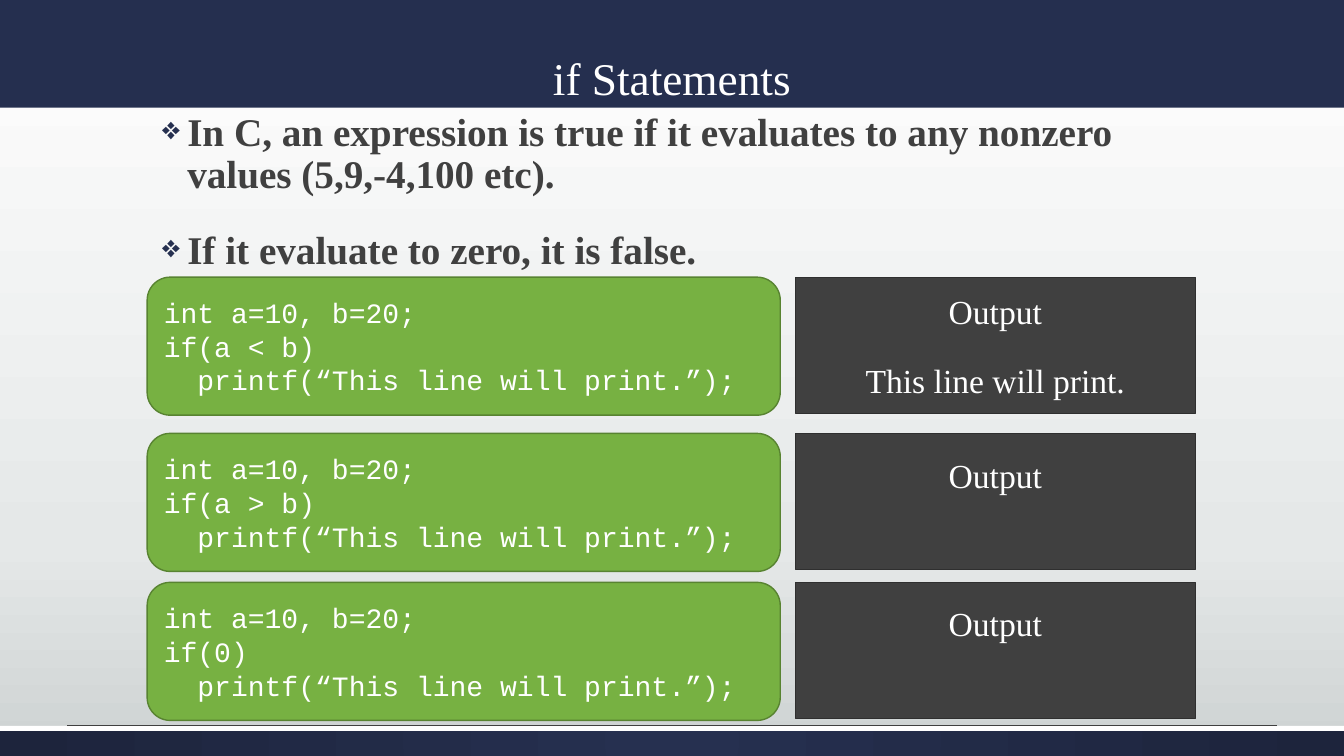
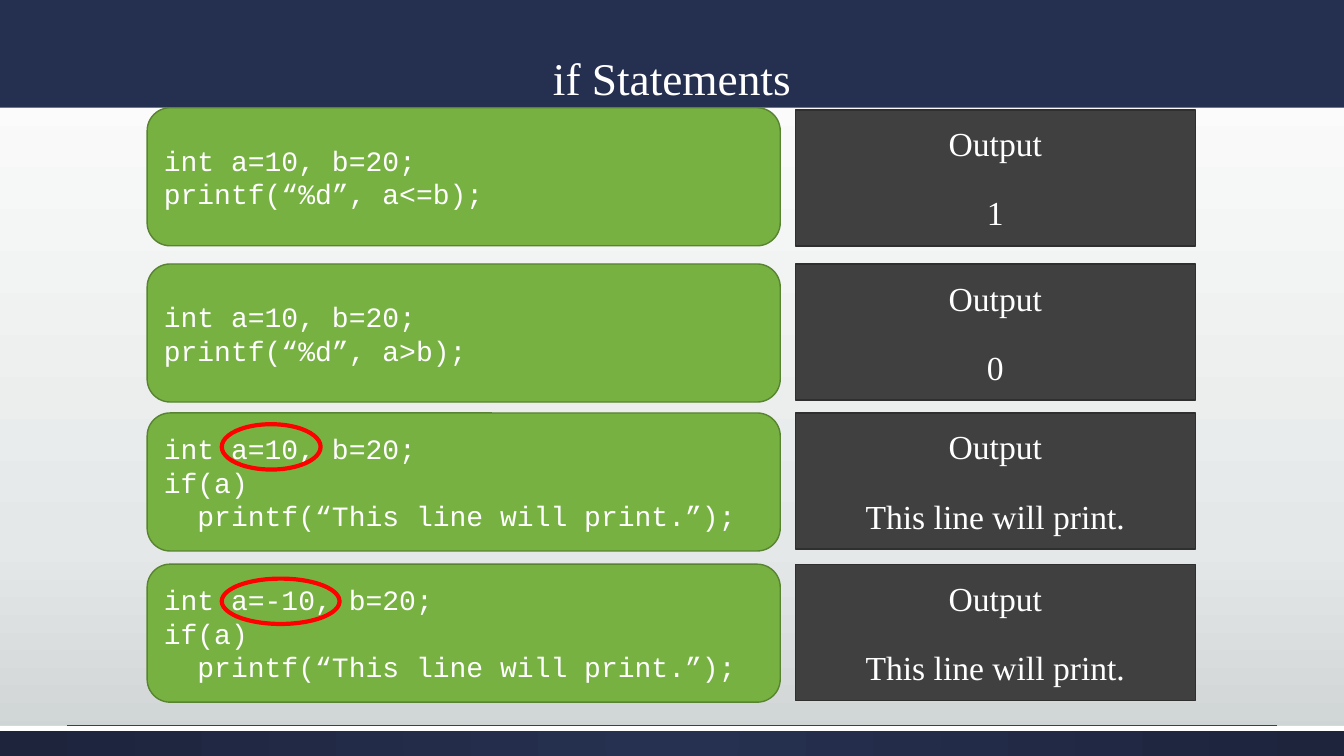
"""Build two slides on if statements in C, pairing code with its output."""
from dataclasses import dataclass

from lxml import etree
from pptx import Presentation
from pptx.dml.color import RGBColor
from pptx.enum.shapes import MSO_CONNECTOR, MSO_SHAPE
from pptx.enum.text import MSO_ANCHOR, PP_ALIGN
from pptx.oxml.ns import qn
from pptx.util import Pt

RECTANGLE, ROUNDED, OVAL = MSO_SHAPE.RECTANGLE, MSO_SHAPE.ROUNDED_RECTANGLE, MSO_SHAPE.OVAL
STRAIGHT = MSO_CONNECTOR.STRAIGHT
LEFT, CENTER = PP_ALIGN.LEFT, PP_ALIGN.CENTER
TOP, MIDDLE, BOTTOM = MSO_ANCHOR.TOP, MSO_ANCHOR.MIDDLE, MSO_ANCHOR.BOTTOM

SERIF, MONO = "Times New Roman", "Courier New"
NAVY, NAVY_LIGHT, NAVY_DARK = "252F4F", "263050", "1D243C"
WHITE, CHARCOAL, CHARCOAL_EDGE = "FFFFFF", "404040", "2F2F2F"
GREEN, GREEN_EDGE, RED = "77B142", "588331", "FF0000"
BACKGROUND_STOPS = [(0, WHITE), (72, "E5E8E8"), (100, "CDD2D2")]
FOOTER_STOPS = [(0, NAVY_LIGHT), (100, NAVY_DARK)]

SLIDE_WIDTH, SLIDE_HEIGHT = 960, 540
BAND_HEIGHT = 77
FOOTER_TOP = 518.4
CODE_LEFT, CODE_WIDTH, CODE_HEIGHT = 105.1, 452.2, 98.6
OUTPUT_LEFT, OUTPUT_WIDTH, OUTPUT_HEIGHT = 568.1, 285.8, 97.2
MARK_LEFT, MARK_HEIGHT = 158.4, 32.4
OUTPUT_GAP = 20.5
EMPTY_OUTPUT_MARGIN = 42


@dataclass
class Example:
    """One code box and its output, with an optional mark (top, width)."""
    top: float
    code: list
    result: str = ""
    output_drop: float = 0
    mark: tuple = ()


DECLARE = "int a=10, b=20;"
PRINT_LINE = "  printf(“This line will print.”);"
PRINTED = "This line will print."

SLIDES = [
    {
        "title": "if Statements",
        "bullets": [
            "In C, an expression is true if it evaluates to any nonzero values (5,9,-4,100 etc).",
            "If it evaluate to zero, it is false.",
        ],
        "examples": [
            Example(198, [DECLARE, "if(a < b)", PRINT_LINE], PRINTED),
            Example(309.6, [DECLARE, "if(a > b)", PRINT_LINE]),
            Example(416, [DECLARE, "if(0)", PRINT_LINE]),
        ],
    },
    {
        "title": "if Statements",
        "bullets": [],
        "examples": [
            Example(77, [DECLARE, "printf(“%d”, a<=b);"], "1", output_drop=1.5),
            Example(188.6, [DECLARE, "printf(“%d”, a>b);"], "0"),
            Example(295, [DECLARE, "if(a)", PRINT_LINE], PRINTED, mark=(303, 70.6)),
            Example(403, ["int a=-10, b=20;", "if(a)", PRINT_LINE], PRINTED, mark=(413.3, 84.2)),
        ],
    },
]


def color(value):
    """Turn a hex string into a colour."""
    return RGBColor.from_string(value)


def add_child(parent, tag, **attributes):
    """Append a drawing element with the given attributes."""
    return etree.SubElement(parent, qn(tag), attributes)


def set_gradient(fill, element, stops, circular=False):
    """Fill with a downward gradient, or one spreading from the middle."""
    fill.gradient()
    gradient = element.find(".//" + qn("a:gradFill"))
    for child in list(gradient):
        gradient.remove(child)
    stop_list = add_child(gradient, "a:gsLst")
    for position, value in stops:
        stop = add_child(stop_list, "a:gs", pos=str(position * 1000))
        add_child(stop, "a:srgbClr", val=value)
    if circular:
        spread = add_child(gradient, "a:path", path="circle")
        add_child(spread, "a:fillToRect", l="50000", t="50000", r="50000", b="50000")
    else:
        add_child(gradient, "a:lin", ang="5400000", scaled="0")


def add_box(slide, kind, left, top, width, height, fill=None, edge=None, edge_width=1):
    """Add a flat preset shape."""
    shape = slide.shapes.add_shape(kind, Pt(left), Pt(top), Pt(width), Pt(height))
    shape.shadow.inherit = False
    if fill:
        shape.fill.solid()
        shape.fill.fore_color.rgb = color(fill)
    else:
        shape.fill.background()
    if edge:
        shape.line.color.rgb = color(edge)
        shape.line.width = Pt(edge_width)
    else:
        shape.line.fill.background()
    return shape


def write(shape, lines, font, size, value=WHITE, bold=False, align=LEFT, anchor=MIDDLE):
    """Write one paragraph a line and return the paragraphs."""
    frame = shape.text_frame
    frame.text = "\n".join(lines)
    frame.word_wrap = True
    frame.vertical_anchor = anchor
    for paragraph in frame.paragraphs:
        paragraph.alignment = align
        for run in paragraph.runs:
            run.font.name = font
            run.font.size = Pt(size)
            run.font.bold = bold
            run.font.color.rgb = color(value)
    return frame.paragraphs


def add_frame(slide, title):
    """Add the background, footer, rule and title band."""
    set_gradient(slide.background.fill, slide.element, BACKGROUND_STOPS)
    footer = add_box(slide, RECTANGLE, 0, FOOTER_TOP, SLIDE_WIDTH, SLIDE_HEIGHT - FOOTER_TOP)
    set_gradient(footer.fill, footer.element, FOOTER_STOPS, circular=True)
    add_box(slide, RECTANGLE, 0, FOOTER_TOP, SLIDE_WIDTH, 3.6, WHITE)
    rule = slide.shapes.add_connector(STRAIGHT, Pt(48), Pt(518), Pt(912), Pt(518))
    rule.line.color.rgb = color(CHARCOAL)
    rule.line.width = Pt(0.75)
    add_child(rule.element.spPr, "a:effectLst")
    band = add_box(slide, RECTANGLE, 0, 0, SLIDE_WIDTH, BAND_HEIGHT, NAVY)
    band.text_frame.margin_bottom = Pt(2)
    write(band, [title], SERIF, 32.4, align=CENTER, anchor=BOTTOM)


def add_bullets(slide, bullets):
    """Add the bulleted statements under the title band."""
    box = slide.shapes.add_textbox(Pt(CODE_LEFT), Pt(BAND_HEIGHT), Pt(748.8), Pt(120))
    paragraphs = write(box, bullets, SERIF, 28, CHARCOAL, bold=True, anchor=TOP)
    for index, paragraph in enumerate(paragraphs):
        properties = paragraph._p.get_or_add_pPr()
        properties.set("marL", str(Pt(21.6)))
        properties.set("indent", str(Pt(-18)))
        bullet_color = add_child(properties, "a:buClr")
        add_child(bullet_color, "a:srgbClr", val=NAVY_LIGHT)
        add_child(properties, "a:buSzPct", val="80000")
        add_child(properties, "a:buChar", char="❖")
        paragraph.line_spacing = 0.9
        paragraph.space_before = Pt(12 if index else 0)
        paragraph.space_after = Pt(12)


def add_example(slide, example):
    """Add a code box, its output box and any mark."""
    code_box = add_box(slide, ROUNDED, CODE_LEFT, example.top, CODE_WIDTH, CODE_HEIGHT,
                       GREEN, GREEN_EDGE)
    write(code_box, example.code, MONO, 20)
    output_box = add_box(slide, RECTANGLE, OUTPUT_LEFT, example.top + example.output_drop,
                         OUTPUT_WIDTH, OUTPUT_HEIGHT, CHARCOAL, CHARCOAL_EDGE)
    lines = ["Output", example.result] if example.result else ["Output"]
    paragraphs = write(output_box, lines, SERIF, 24, align=CENTER)
    if example.result:
        paragraphs[1].space_before = Pt(OUTPUT_GAP)
    else:
        output_box.text_frame.margin_bottom = Pt(EMPTY_OUTPUT_MARGIN)
    if example.mark:
        mark_top, mark_width = example.mark
        add_box(slide, OVAL, MARK_LEFT, mark_top, mark_width, MARK_HEIGHT,
                edge=RED, edge_width=3)


def main():
    """Build and save the presentation."""
    presentation = Presentation()
    presentation.slide_width = Pt(SLIDE_WIDTH)
    presentation.slide_height = Pt(SLIDE_HEIGHT)
    for content in SLIDES:
        slide = presentation.slides.add_slide(presentation.slide_layouts[6])
        add_frame(slide, content["title"])
        if content["bullets"]:
            add_bullets(slide, content["bullets"])
        for example in content["examples"]:
            add_example(slide, example)
    presentation.save("out.pptx")


if __name__ == "__main__":
    main()
